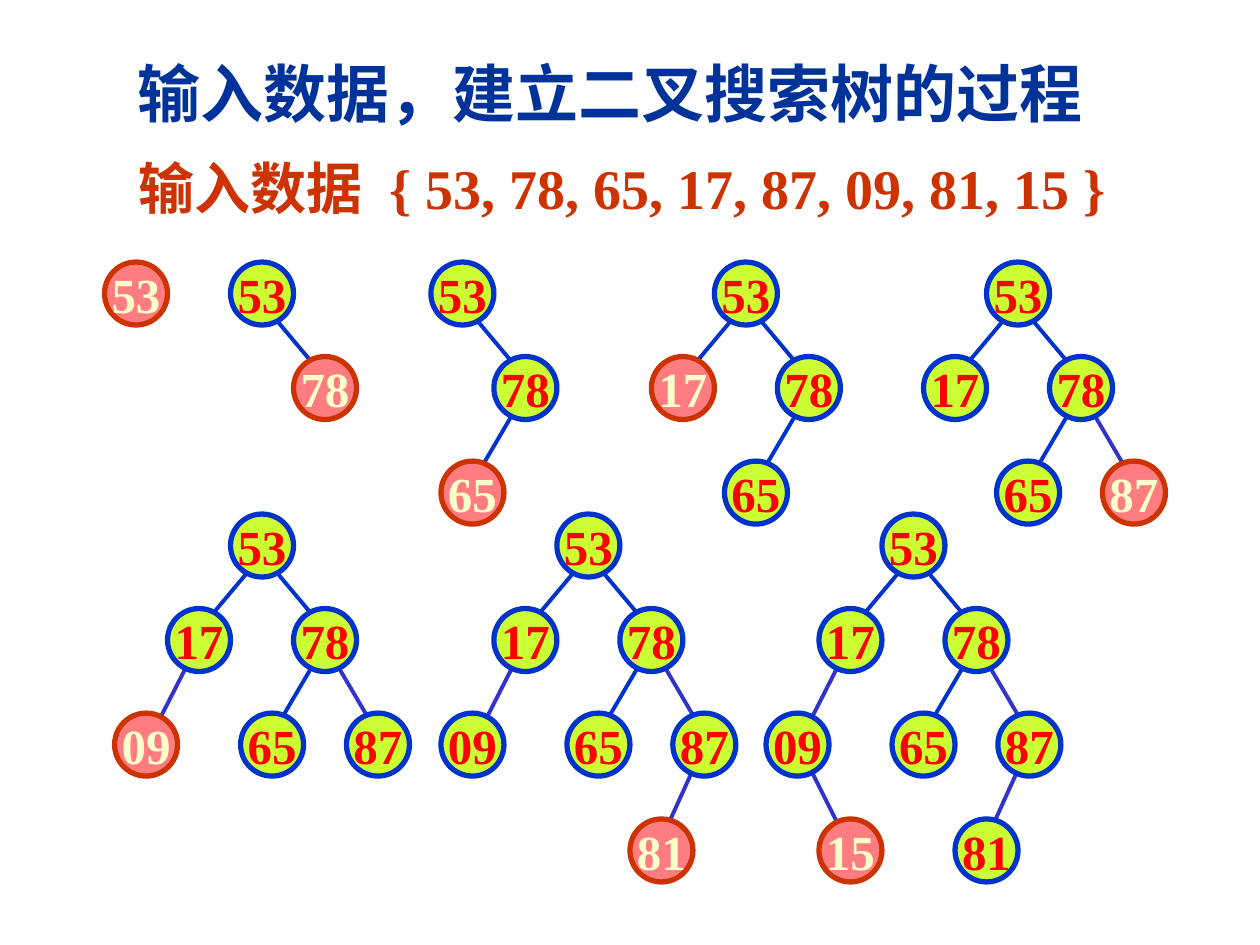
from dataclasses import dataclass

from lxml import etree
from pptx import Presentation
from pptx.dml.color import RGBColor
from pptx.enum import shapes, text
from pptx.oxml.ns import qn
from pptx.util import Inches, Pt


@dataclass(frozen=True)
class Theme:
    font: str = "Times New Roman"
    title: str = "003399"
    data: str = "CC3300"
    upper: str = "0033CC"
    lower: str = "3333CC"
    title_size: int = 36
    data_size: int = 32
    key_size: int = 28
    ring: float = 3
    edge: float = 2.25


@dataclass(frozen=True)
class Style:
    fill: str
    line: str
    text: str


@dataclass(frozen=True)
class Node:
    """A key, its offset from the root, and the edge that leads to it."""
    key: str
    x: float
    y: float
    edge: tuple[float, ...] = ()
    color: str = ""


@dataclass(frozen=True)
class Tree:
    x: float
    y: float


THEME = Theme()
OLD = Style("CCFF33", "0033CC", "FF0000")
NEW = Style("FF7C80", "CC3300", "FFFFCC")
SIZE = 0.5

# Keys in the order of input; edges run x1, y1, x2, y2 from the root's corner
NODES = (
    Node("53", 0, 0),
    Node("78", 0.5, 0.75, (0.33, 0.42, 0.75, 0.92), THEME.upper),
    Node("65", 0.08, 1.58, (0.67, 1.17, 0.33, 1.75), THEME.upper),
    Node("17", -0.5, 0.75, (0.17, 0.42, -0.25, 0.92), THEME.upper),
    Node("87", 0.92, 1.58, (0.83, 1.17, 1.17, 1.75), THEME.lower),
    Node("09", -0.92, 1.58, (-0.33, 1.17, -0.6, 1.7), THEME.lower),
    Node("81", 0.58, 2.42, (1.17, 1.83, 0.83, 2.58), THEME.lower),
    Node("15", -0.5, 2.42, (-0.58, 2, -0.33, 2.5), THEME.lower),
)

# Step n shows the first n keys
TREES = [Tree(x, 2.08) for x in (0.83, 1.83, 3.42, 5.67, 7.83)]
TREES += [Tree(x, 4.08) for x in (1.83, 4.42, 7)]


def rgb(color: str) -> RGBColor:
    return RGBColor.from_string(color)


def add_run(para, words: str, size: float, color: str) -> None:
    run = para.add_run()
    run.text = words
    font = run.font
    font.name, font.size, font.bold = THEME.font, Pt(size), True
    font.color.rgb = rgb(color)


def draw_edge(slide, tree: Tree, node: Node) -> None:
    x1, y1, x2, y2 = node.edge
    line = slide.shapes.add_connector(
        shapes.MSO_CONNECTOR.STRAIGHT,
        Inches(tree.x + x1), Inches(tree.y + y1),
        Inches(tree.x + x2), Inches(tree.y + y2))
    line.line.color.rgb = rgb(node.color)
    line.line.width = Pt(THEME.edge)
    etree.SubElement(line._element.spPr, qn("a:effectLst"))


def draw_node(slide, tree: Tree, node: Node, style: Style) -> None:
    disc = slide.shapes.add_shape(
        shapes.MSO_SHAPE.OVAL, Inches(tree.x + node.x),
        Inches(tree.y + node.y), Inches(SIZE), Inches(SIZE))
    disc.shadow.inherit = False
    disc.fill.solid()
    disc.fill.fore_color.rgb = rgb(style.fill)
    disc.line.color.rgb = rgb(style.line)
    disc.line.width = Pt(THEME.ring)
    frame = disc.text_frame
    frame.word_wrap = False
    frame.vertical_anchor = text.MSO_ANCHOR.MIDDLE
    para = frame.paragraphs[0]
    para.alignment = text.PP_ALIGN.CENTER
    add_run(para, node.key, THEME.key_size, style.text)


def draw_tree(slide, tree: Tree, nodes: tuple[Node, ...]) -> None:
    for node in nodes[1:]:
        draw_edge(slide, tree, node)
    for node in nodes:
        draw_node(slide, tree, node, NEW if node is nodes[-1] else OLD)


def draw_title(slide) -> None:
    title = slide.shapes.title
    title.left, title.top = Inches(0.92), Inches(0.38)
    title.width, title.height = Inches(8), Inches(0.7)
    frame = title.text_frame
    frame.auto_size = text.MSO_AUTO_SIZE.NONE
    frame.vertical_anchor = text.MSO_ANCHOR.TOP
    frame.margin_left = Inches(0.17)
    para = frame.paragraphs[0]
    para.alignment = text.PP_ALIGN.LEFT
    add_run(para, "输入数据，建立二叉搜索树的过程", THEME.title_size, THEME.title)


def draw_data(slide) -> None:
    box = slide.shapes.add_textbox(
        Inches(1), Inches(1.17), Inches(8), Inches(0.64))
    box.text_frame.word_wrap = True
    para = box.text_frame.paragraphs[0]
    # A tab stop sets the list of keys apart from its label
    tabs = etree.SubElement(para._p.get_or_add_pPr(), qn("a:tabLst"))
    etree.SubElement(tabs, qn("a:tab"), pos=str(Inches(1.99)), algn="l")
    keys = ", ".join(node.key for node in NODES)
    add_run(para, f"输入数据\t{{ {keys} }}", THEME.data_size, THEME.data)


def main() -> None:
    deck = Presentation()
    deck.slide_width, deck.slide_height = Inches(10), Inches(7.5)
    slide = deck.slides.add_slide(deck.slide_layouts.get_by_name("Title Only"))
    draw_title(slide)
    draw_data(slide)
    for step, tree in enumerate(TREES, 1):
        draw_tree(slide, tree, NODES[:step])
    deck.save("out.pptx")


if __name__ == "__main__":
    main()
